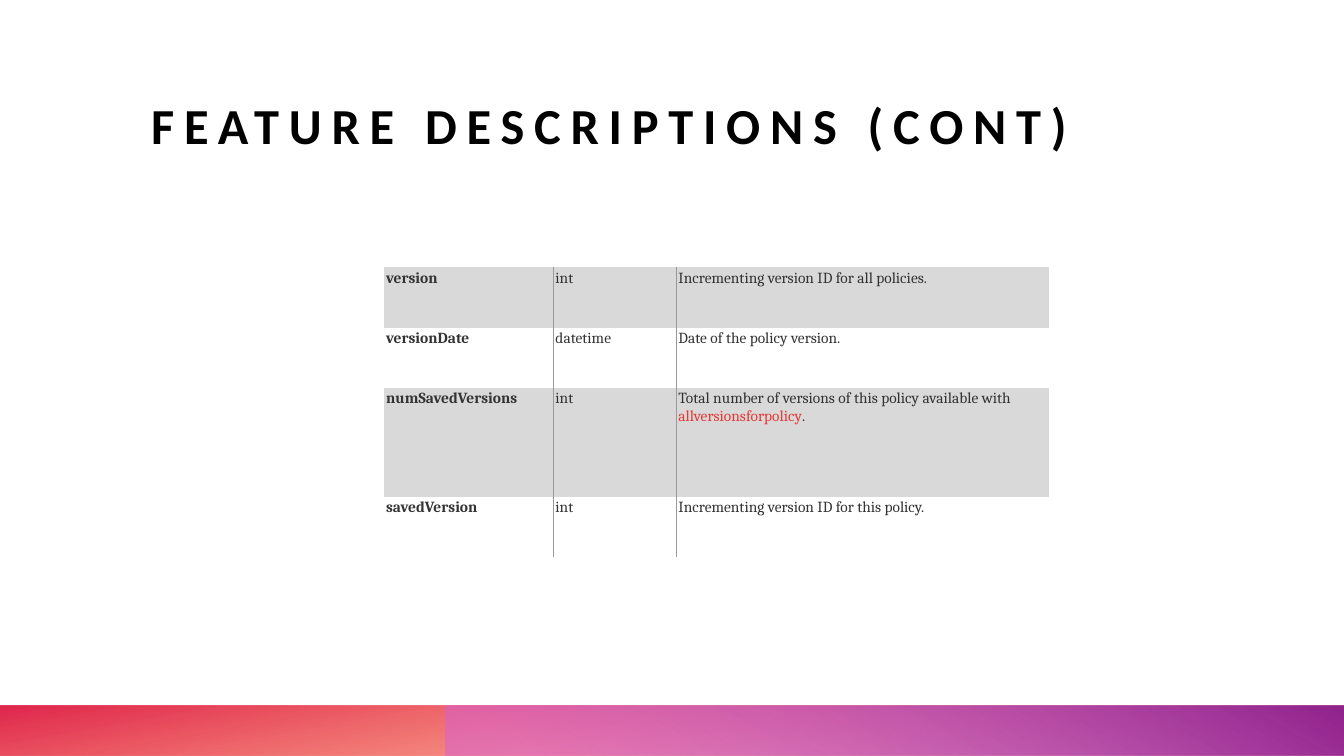
from lxml.etree import SubElement
from pptx import Presentation
from pptx.dml.color import RGBColor
from pptx.enum.shapes import MSO_SHAPE
from pptx.enum.text import MSO_ANCHOR
from pptx.oxml.ns import qn
from pptx.util import Inches, Pt

COLORS = {
    "title": "000000",
    "text": "333333",
    "link": "E53935",
    "band": "D9D9D9",
    "divider": "999999",
    "orange": "FE4A00",
    "red": "DA002F",
    "pink": "D861D4",
    "purple": "92248E",
}

COLUMN_WIDTHS = [1.68, 1.22, 3.69]
ROW_HEIGHTS = [0.6, 0.6, 1.08, 0.6]
FEATURES = [
    ("version", "int", [("Incrementing version ID for all policies.", "text")]),
    ("versionDate", "datetime", [("Date of the policy version.", "text")]),
    ("numSavedVersions", "int", [
        ("Total number of versions of this policy available with ", "text"),
        ("allversionsforpolicy", "link"),
        (".", "text"),
    ]),
    ("savedVersion", "int", [("Incrementing version ID for this policy.", "text")]),
]


def add_run(paragraph, text, font_name, size, color, bold=False):
    run = paragraph.add_run()
    run.text = text
    run.font.name = font_name
    run.font.size = Pt(size)
    run.font.bold = bold
    run.font.color.rgb = RGBColor.from_string(COLORS[color])
    return run


def add_gradient_bar(slide, box, stops, angle, rotation=0):
    shape = slide.shapes.add_shape(MSO_SHAPE.RECTANGLE, *map(Inches, box))
    shape.shadow.inherit = False
    shape.line.fill.background()
    shape.rotation = rotation
    properties = shape.element.spPr
    properties.find(qn("a:xfrm")).set("flipH", "1")
    gradient = SubElement(properties, qn("a:gradFill"), rotWithShape="1")
    stop_list = SubElement(gradient, qn("a:gsLst"))
    for position, color, opacity in stops:
        stop = SubElement(stop_list, qn("a:gs"), pos=str(position * 1000))
        fill = SubElement(stop, qn("a:srgbClr"), val=COLORS[color])
        SubElement(fill, qn("a:alpha"), val=str(opacity * 1000))
    SubElement(gradient, qn("a:lin"), ang=str(angle * 60000), scaled="0")
    properties.find(qn("a:prstGeom")).addnext(gradient)


def add_footer(slide, left, top, width, height):
    add_gradient_bar(slide, (left, top, width, height),
                     [(14, "orange", 28), (100, "red", 85)], 100, rotation=180)
    inset = 4.42
    add_gradient_bar(slide, (left + inset, top, width - inset, height),
                     [(9, "pink", 55), (99, "purple", 100)], 240)


def add_title(slide, left, top, width, height):
    title = slide.shapes.add_textbox(*map(Inches, (left, top, width, height)))
    frame = title.text_frame
    frame.word_wrap = True
    frame.vertical_anchor = MSO_ANCHOR.BOTTOM
    frame.margin_left = frame.margin_right = 0
    frame.margin_top = frame.margin_bottom = 0
    run = add_run(frame.paragraphs[0], "FEATURE DESCRIPTIONS (CONT)",
                  "Calibri", 36, "title", bold=True)
    run.font._element.set("spc", "700")


def set_borders(cell, divided_edges):
    properties = cell._tc.get_or_add_tcPr()
    for index, edge in enumerate(("lnL", "lnR", "lnT", "lnB")):
        line = SubElement(properties, qn(f"a:{edge}"), w=str(Pt(1)))
        if edge in divided_edges:
            fill = SubElement(line, qn("a:solidFill"))
            SubElement(fill, qn("a:srgbClr"), val=COLORS["divider"])
        else:
            SubElement(line, qn("a:noFill"))
        properties.insert(index, line)


def fill_cell(cell, runs, bold, banded, divided_edges):
    cell.margin_left = cell.margin_right = Inches(0.02)
    cell.margin_top = cell.margin_bottom = Inches(0.02)
    if banded:
        cell.fill.solid()
        cell.fill.fore_color.rgb = RGBColor.from_string(COLORS["band"])
    else:
        cell.fill.background()
    set_borders(cell, divided_edges)
    for text, color in runs:
        add_run(cell.text_frame.paragraphs[0], text, "Cambria", 11, color, bold)


def add_feature_table(slide, left, top, width, height):
    table = slide.shapes.add_table(len(FEATURES), len(COLUMN_WIDTHS),
                                   *map(Inches, (left, top, width, height))).table
    table.first_row = False
    table.horz_banding = False
    for column, column_width in zip(table.columns, COLUMN_WIDTHS):
        column.width = Inches(column_width)
    for row, row_height in zip(table.rows, ROW_HEIGHTS):
        row.height = Inches(row_height)
    column_edges = [("lnR",), ("lnL", "lnR"), ("lnL",)]
    for row_index, (name, kind, description) in enumerate(FEATURES):
        contents = [[(name, "text")], [(kind, "text")], description]
        for column_index, runs in enumerate(contents):
            fill_cell(table.cell(row_index, column_index), runs,
                      bold=column_index == 0, banded=row_index % 2 == 0,
                      divided_edges=column_edges[column_index])


def main():
    presentation = Presentation()
    presentation.slide_width = Inches(13.33)
    presentation.slide_height = Inches(7.5)
    slide = presentation.slides.add_slide(presentation.slide_layouts[6])
    add_footer(slide, 0, 7, 13.33, 0.5)
    add_title(slide, 1.5, 0.87, 11.2, 0.66)
    add_feature_table(slide, 3.81, 2.65, sum(COLUMN_WIDTHS), sum(ROW_HEIGHTS))
    presentation.save("out.pptx")


if __name__ == "__main__":
    main()
